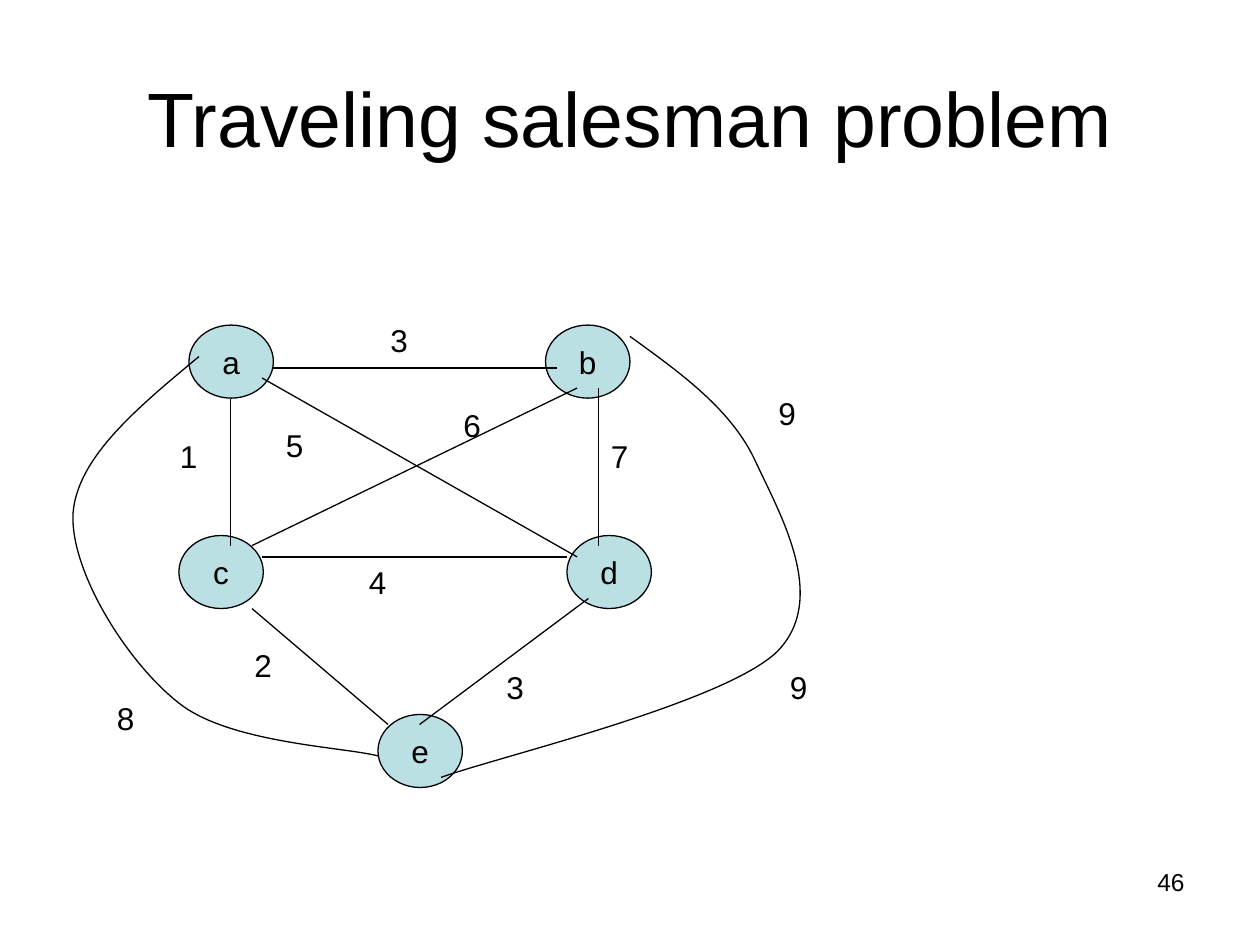
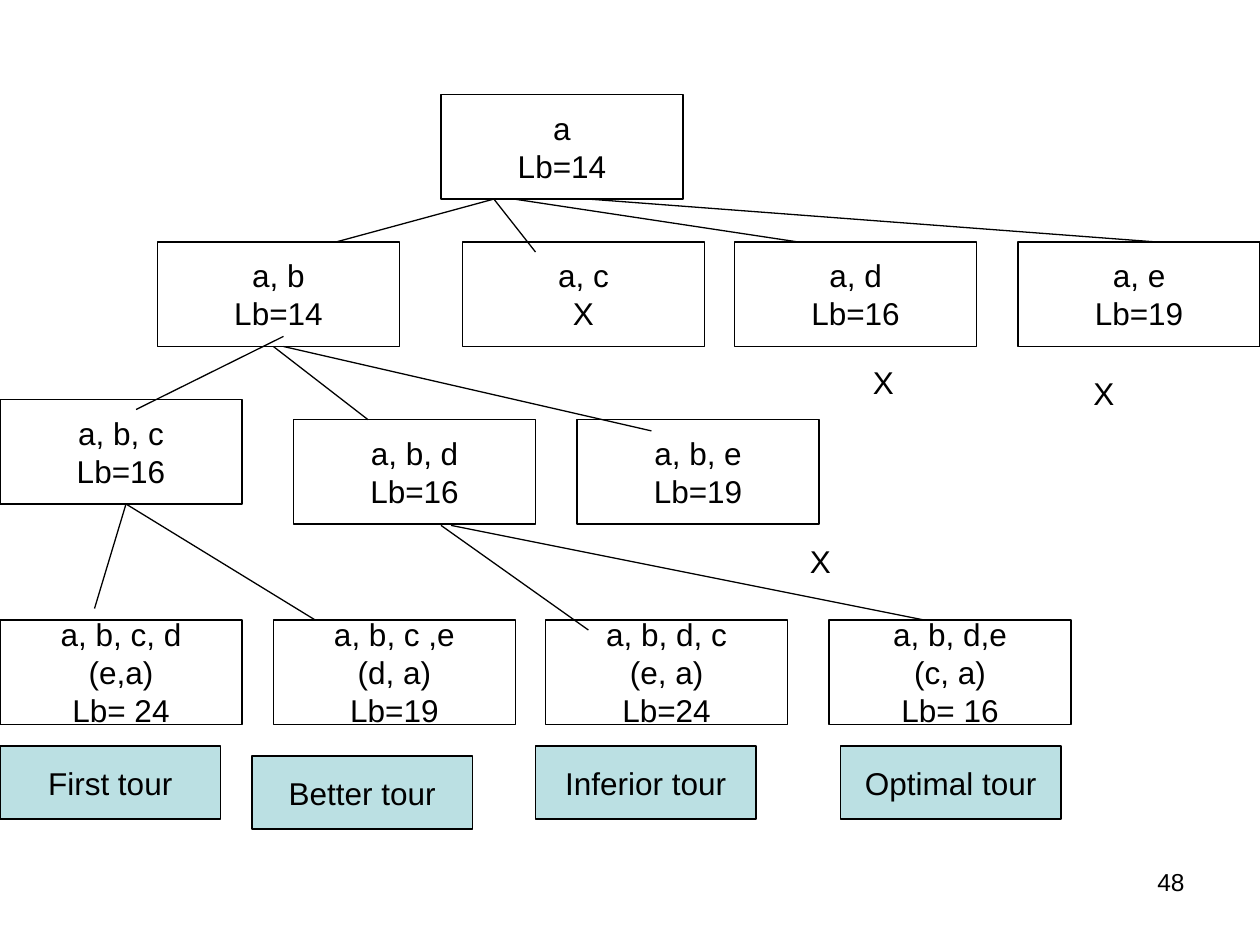
"""Build two slides on the traveling salesman problem: the graph and its search tree."""
from dataclasses import dataclass

from lxml import etree
from pptx import Presentation
from pptx import util as u
from pptx.dml.color import RGBColor
from pptx.enum import shapes, text
from pptx.oxml import ns


@dataclass(frozen=True)
class Theme:
    """Colours, font and type sizes shared by the slides."""
    ink: RGBColor = RGBColor.from_string("000000")
    paper: RGBColor = RGBColor.from_string("FFFFFF")
    accent: RGBColor = RGBColor.from_string("BBE0E3")
    font: str = "Arial"
    title: int = 44
    body: int = 18
    footer: int = 14
    line: float = 0.75


THEME = Theme()
ALIGN = text.PP_ALIGN


@dataclass
class Region:
    """A box on a page; parts are placed relative to its corner."""
    page: object
    left: float
    top: float

    def at(self, x, y):
        """Turn a point of the region into a point of the page."""
        return u.Inches(self.left + x), u.Inches(self.top + y)


def write(frame, lines, size=THEME.body, align=ALIGN.CENTER):
    """Write one paragraph per line into a text frame."""
    for index, line in enumerate(lines):
        para = frame.add_paragraph() if index else frame.paragraphs[0]
        para.alignment = align
        span = para.add_run()
        span.text = line
        span.font.name = THEME.font
        span.font.size = u.Pt(size)
        span.font.color.rgb = THEME.ink


def ink_line(shape):
    """Give a shape or connector the common thin line."""
    shape.line.color.rgb = THEME.ink
    shape.line.width = u.Pt(THEME.line)


def add_node(region, kind, place, size, lines, fill):
    """Add an outlined shape with centred text."""
    node = region.page.shapes.add_shape(kind, *region.at(*place), *map(u.Inches, size))
    node.shadow.inherit = False
    node.fill.solid()
    node.fill.fore_color.rgb = fill
    ink_line(node)
    node.text_frame.word_wrap = False
    node.text_frame.vertical_anchor = text.MSO_ANCHOR.MIDDLE
    write(node.text_frame, lines)


def add_edge(region, start, end):
    """Add a straight line between two points."""
    edge = region.page.shapes.add_connector(
        shapes.MSO_CONNECTOR.STRAIGHT, *region.at(*start), *region.at(*end))
    ink_line(edge)
    etree.SubElement(edge._element.spPr, ns.qn("a:effectLst"))


def add_curve(region, points):
    """Add an open edge of cubic curves; every third point lies on it."""
    builder = region.page.shapes.build_freeform(*region.at(*points[0]))
    builder.add_line_segments([region.at(*point) for point in points[1:]], close=False)
    curve = builder.convert_to_shape()
    curve.shadow.inherit = False
    curve.fill.background()
    ink_line(curve)
    segments = list(curve._element.iter(ns.qn("a:lnTo")))
    for first in range(0, len(segments), 3):
        start, *others = segments[first:first + 3]
        start.tag = ns.qn("a:cubicBezTo")
        for segment in others:
            start.append(segment[0])
            segment.getparent().remove(segment)


def add_label(region, place, words, size=(0.75, 0.4), points=THEME.body, align=ALIGN.LEFT):
    """Add a wrapping text box."""
    label = region.page.shapes.add_textbox(*region.at(*place), *map(u.Inches, size))
    label.text_frame.word_wrap = True
    write(label.text_frame, [words], points, align)


def add_title(page, words):
    """Place and fill the title placeholder."""
    title = page.shapes.title
    title.left, title.top, title.width, title.height = map(u.Inches, (0.5, 0.3, 9, 1.25))
    title.text_frame.vertical_anchor = text.MSO_ANCHOR.MIDDLE
    write(title.text_frame, [words], THEME.title)


def add_page_number(page, number):
    """Add the page number at the lower right."""
    add_label(Region(page, 7.17, 6.83), (0, 0), number, (2.33, 0.52), THEME.footer, ALIGN.RIGHT)


def draw_graph(region):
    """Draw the weighted graph of five cities."""
    cities = {"a": (1, 0.08), "e": (2.5, 3.17), "c": (0.92, 1.75),
              "d": (4, 1.75), "b": (3.83, 0.08)}
    roads = [((1.67, 0.42), (3.92, 0.42)), ((4.25, 0.58), (4.25, 1.83)),
             ((1.33, 0.67), (1.33, 1.83)), ((1.58, 1.92), (4, 1.92)),
             ((1.5, 2.33), (2.58, 3.25)), ((4.17, 2.25), (2.83, 3.25)),
             ((4.08, 0.58), (1.5, 1.83)), ((1.58, 0.5), (4.08, 1.92))]
    road_b_e = [(4.5, 0.17), (4.9, 0.46), (5.31, 0.75), (5.5, 1.17), (5.69, 1.58),
                (6.08, 2.25), (5.67, 2.67), (5.25, 3.08), (3.44, 3.51), (3, 3.67)]
    road_a_e = [(1.08, 0.33), (0.6, 0.73), (0.11, 1.13), (0.08, 1.58), (0.06, 2.04),
                (0.51, 2.76), (0.92, 3.08), (1.32, 3.4), (2.24, 3.43), (2.5, 3.5)]
    weights = [("9", 5.58, 0.58), ("4", 2.33, 1.92), ("1", 0.83, 0.92), ("3", 2.5, 0),
               ("7", 4.25, 0.92), ("3", 3.42, 2.75), ("9", 5.67, 2.75), ("5", 1.67, 0.83),
               ("6", 3.08, 0.67), ("8", 0.33, 3), ("2", 1.42, 2.58)]
    for city, place in cities.items():
        add_node(region, shapes.MSO_SHAPE.OVAL, place, (0.67, 0.58), [city], THEME.accent)
    for start, end in roads:
        add_edge(region, start, end)
    for road in (road_b_e, road_a_e):
        add_curve(region, road)
    for weight, x, y in weights:
        add_label(region, (x, y), weight)


def draw_tree(region):
    """Draw the branch-and-bound tree with its tours and pruned branches."""
    states = [(3.5, 0, "a", "Lb=14"),
              (8.08, 1.17, "a, e", "Lb=19"), (5.83, 1.17, "a, d", "Lb=16"),
              (3.67, 1.17, "a, c", "X"), (1.25, 1.17, "a, b", "Lb=14"),
              (4.58, 2.58, "a, b, e", "Lb=19"), (2.33, 2.58, "a, b, d", "Lb=16"),
              (0, 2.42, "a, b, c", "Lb=16"),
              (6.58, 4.17, "a, b, d,e", "(c, a)", "Lb= 16"),
              (4.33, 4.17, "a, b, d, c", "(e, a)", "Lb=24"),
              (2.17, 4.17, "a, b, c ,e", "(d, a)", "Lb=19"),
              (0, 4.17, "a, b, c, d", "(e,a)", "Lb= 24")]
    tours = [(0, 5.17, "First tour"), (2, 5.25, "Better tour"),
             (4.25, 5.17, "Inferior tour"), (6.67, 5.17, "Optimal tour")]
    branches = [((3.92, 0.83), (2.67, 1.17)), ((3.92, 0.83), (4.25, 1.25)),
                ((4.08, 0.83), (6.33, 1.17)), ((4.67, 0.83), (9.17, 1.17)),
                ((2.25, 1.92), (1.08, 2.5)), ((2.17, 2), (2.92, 2.58)),
                ((2.25, 2), (5.17, 2.67)), ((1, 3.25), (0.75, 4.08)),
                ((1, 3.25), (2.5, 4.17)), ((3.5, 3.42), (4.67, 4.25)),
                ((3.58, 3.42), (7.33, 4.17))]
    pruned = [(6.33, 3.5), (6.83, 2.08), (8.58, 2.17)]
    for boxes, size, fill in ((states, (1.92, 0.83), THEME.paper),
                              (tours, (1.75, 0.58), THEME.accent)):
        for x, y, *lines in boxes:
            add_node(region, shapes.MSO_SHAPE.RECTANGLE, (x, y), size, lines, fill)
    for start, end in branches:
        add_edge(region, start, end)
    for place in pruned:
        add_label(region, place, "X", (1, 0.4))


def main():
    """Build and save the deck."""
    deck = Presentation()
    deck.slide_width, deck.slide_height = u.Inches(10), u.Inches(7.5)
    title_only, blank = deck.slide_layouts[5], deck.slide_layouts[6]

    graph_page = deck.slides.add_slide(title_only)
    add_title(graph_page, "Traveling salesman problem")
    draw_graph(Region(graph_page, 0.5, 2.5))
    add_page_number(graph_page, "46")

    tree_page = deck.slides.add_slide(blank)
    draw_tree(Region(tree_page, 0, 0.75))
    add_page_number(tree_page, "48")

    deck.save("out.pptx")


if __name__ == "__main__":
    main()
